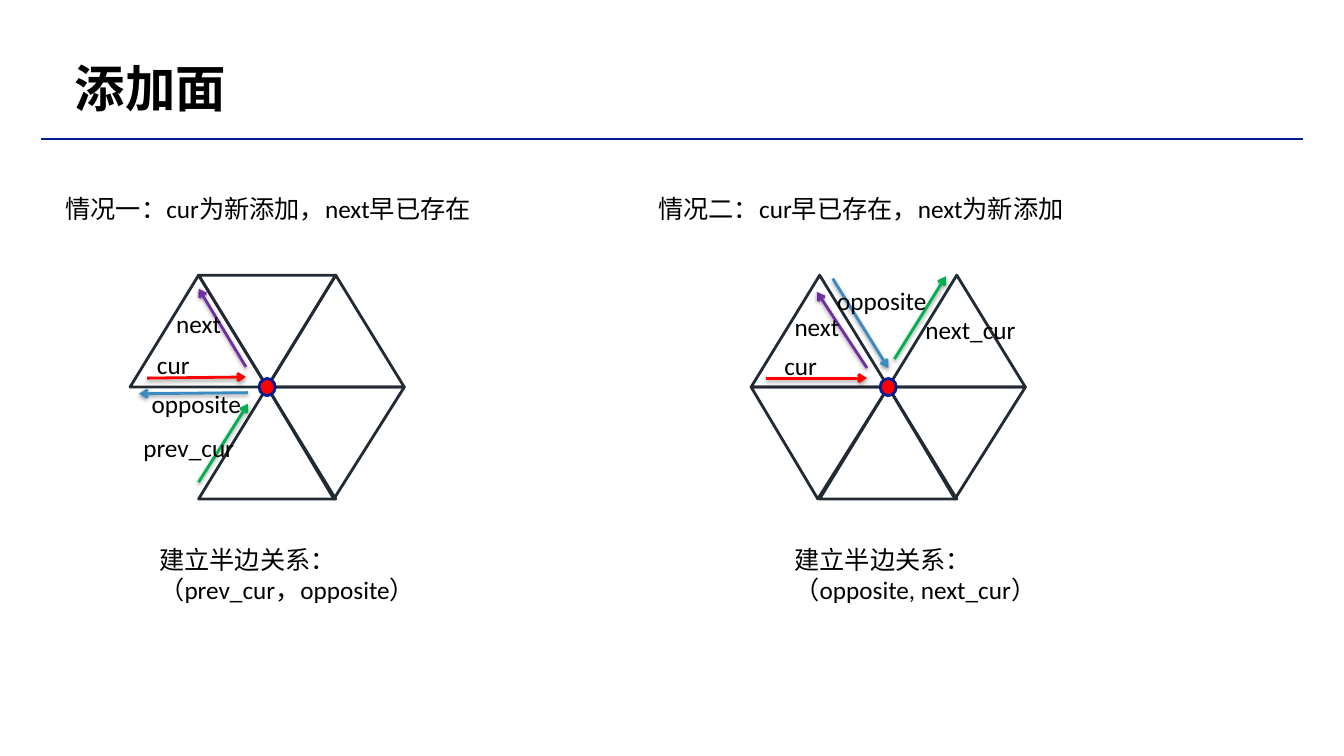
from lxml.etree import SubElement
from pptx import Presentation
from pptx.dml.color import RGBColor
from pptx.enum.shapes import MSO_CONNECTOR, MSO_SHAPE
from pptx.enum.text import MSO_ANCHOR, MSO_AUTO_SIZE
from pptx.oxml.ns import qn
from pptx.util import Inches, Pt

FONT = "Calibri"
BLACK, NAVY, SLATE = "000000", "011C96", "222A34"
RED, PURPLE, BLUE, GREEN = "FF0000", "7030A0", "3A8BC1", "00B050"
COLUMN, ROW = 0.68, 1.11
LABEL_HEIGHT = 0.4
DOT_WIDTH, DOT_HEIGHT = 0.16, 0.17

TITLE = "添加面"
TITLE_AREA = (0.69, 0.58, 7.63, 0.66)
RULE = ((0.41, 1.38), (12.92, 1.38))

CASES = [
    {
        "heading": ["情况一：cur为新添加，next早已存在"],
        "heading_area": (0.6, 1.87, 4.44, 0.4),
        "relation": ["建立半边关系：", "（prev_cur，opposite）"],
        "relation_area": (1.53, 5.35, 2.68, 0.71),
        "hub": (2.65, 3.84),
        "faces": [(0, -1, "up"), (0, 0, "down"), (-1, -1, "down"),
                  (-1, 0, "up"), (-2, -1, "up")],
        "half_edges": [
            ((-1.75, -0.08), (-0.31, -0.09), RED),
            ((-0.31, -0.18), (-1, -0.88), PURPLE),
            ((-0.28, 0.05), (-1.87, 0.06), BLUE),
            ((-1, 0.85), (-0.28, 0.15), GREEN),
        ],
        "labels": [
            ("cur", -1.68, -0.38, 0.8),
            ("next", -1.4, -0.75, 0.91),
            ("prev_cur", -1.88, 0.36, 1.85),
            ("opposite", -1.76, -0.03, 1.52),
        ],
    },
    {
        "heading": ["情况二：cur早已存在，next为新添加"],
        "heading_area": (6.48, 1.87, 4.24, 0.4),
        "relation": ["建立半边关系：", "（opposite, next_cur）"],
        "relation_area": (7.83, 5.35, 2.7, 0.71),
        "hub": (8.81, 3.84),
        "faces": [(0, -1, "up"), (0, 0, "down"), (-1, 0, "up"),
                  (-2, -1, "up"), (-2, 0, "down")],
        "half_edges": [
            ((-1.78, -0.08), (-0.31, -0.08), RED),
            ((-0.31, -0.17), (-1.04, -0.85), PURPLE),
            ((-0.81, -0.97), (0, -0.17), BLUE),
            ((0.09, -0.25), (0.84, -0.99), GREEN),
        ],
        "labels": [
            ("cur", -1.59, -0.37, 0.8),
            ("next", -1.44, -0.72, 0.91),
            ("next_cur", 0.47, -0.69, 1.6),
            ("opposite", -0.82, -0.95, 1.52),
        ],
    },
]


def color(value):
    return RGBColor.from_string(value)


def add_text(shapes, area, lines, size=18, bold=False):
    box = shapes.add_textbox(*map(Inches, area))
    frame = box.text_frame
    frame.word_wrap = True
    frame.auto_size = MSO_AUTO_SIZE.NONE
    frame.margin_left = frame.margin_right = Inches(0.05)
    frame.margin_top = frame.margin_bottom = Inches(0.05)
    for index, line in enumerate(lines):
        para = frame.add_paragraph() if index else frame.paragraphs[0]
        span = para.add_run()
        span.text = line
        span.font.name = FONT
        span.font.size = Pt(size)
        span.font.bold = bold
        span.font.color.rgb = color(BLACK)
    return frame


def add_line(shapes, start, end, line_color, width):
    points = map(Inches, (*start, *end))
    line = shapes.add_connector(MSO_CONNECTOR.STRAIGHT, *points)
    line.line.color.rgb = color(line_color)
    line.line.width = Pt(width)
    effects = SubElement(line._element.spPr, qn("a:effectLst"))
    return line, effects


def add_half_edge(shapes, start, end, line_color):
    arrow, effects = add_line(shapes, start, end, line_color, 2)
    SubElement(arrow.line._get_or_add_ln(), qn("a:tailEnd"), type="arrow")
    shadow = SubElement(effects, qn("a:outerShdw"), blurRad=str(Pt(3)),
                        dist=str(Pt(1.6)), dir="5400000", rotWithShape="0")
    tint = SubElement(shadow, qn("a:srgbClr"), val=BLACK)
    SubElement(tint, qn("a:alpha"), val="38000")


def add_outline(shapes, kind, area, line_color, fill=None):
    shape = shapes.add_shape(kind, *map(Inches, area))
    shape.shadow.inherit = False
    shape.line.color.rgb = color(line_color)
    shape.line.width = Pt(2)
    if fill:
        shape.fill.solid()
        shape.fill.fore_color.rgb = color(fill)
    else:
        shape.fill.background()
    return shape


def add_mesh(page, case):
    shapes = page.shapes.add_group_shape().shapes
    hub_x, hub_y = case["hub"]

    def place(column, row):
        return hub_x + column * COLUMN, hub_y + row * ROW

    for column, row, direction in case["faces"]:
        area = (*place(column, row), 2 * COLUMN, ROW)
        face = add_outline(shapes, MSO_SHAPE.ISOSCELES_TRIANGLE, area, SLATE)
        if direction == "down":
            face.rotation = 180
            if row == 0:
                face.adjustments[0] = 0.514
    for start, end, line_color in case["half_edges"]:
        add_half_edge(shapes, place(*start), place(*end), line_color)
    dot = (hub_x - DOT_WIDTH / 2, hub_y - DOT_HEIGHT / 2, DOT_WIDTH, DOT_HEIGHT)
    add_outline(shapes, MSO_SHAPE.OVAL, dot, NAVY, RED)
    for text, column, row, width in case["labels"]:
        area = (*place(column, row), width * COLUMN, LABEL_HEIGHT)
        add_text(shapes, area, [text])


def main():
    deck = Presentation()
    deck.slide_width, deck.slide_height = Inches(13.33), Inches(7.5)
    page = deck.slides.add_slide(deck.slide_layouts[6])
    add_line(page.shapes, *RULE, NAVY, 1.5)
    title = add_text(page.shapes, TITLE_AREA, [TITLE], 36, True)
    title.vertical_anchor = MSO_ANCHOR.MIDDLE
    title.paragraphs[0].line_spacing = 0.9
    for case in CASES:
        add_text(page.shapes, case["heading_area"], case["heading"])
        add_mesh(page, case)
        add_text(page.shapes, case["relation_area"], case["relation"])
    deck.save("out.pptx")


if __name__ == "__main__":
    main()
